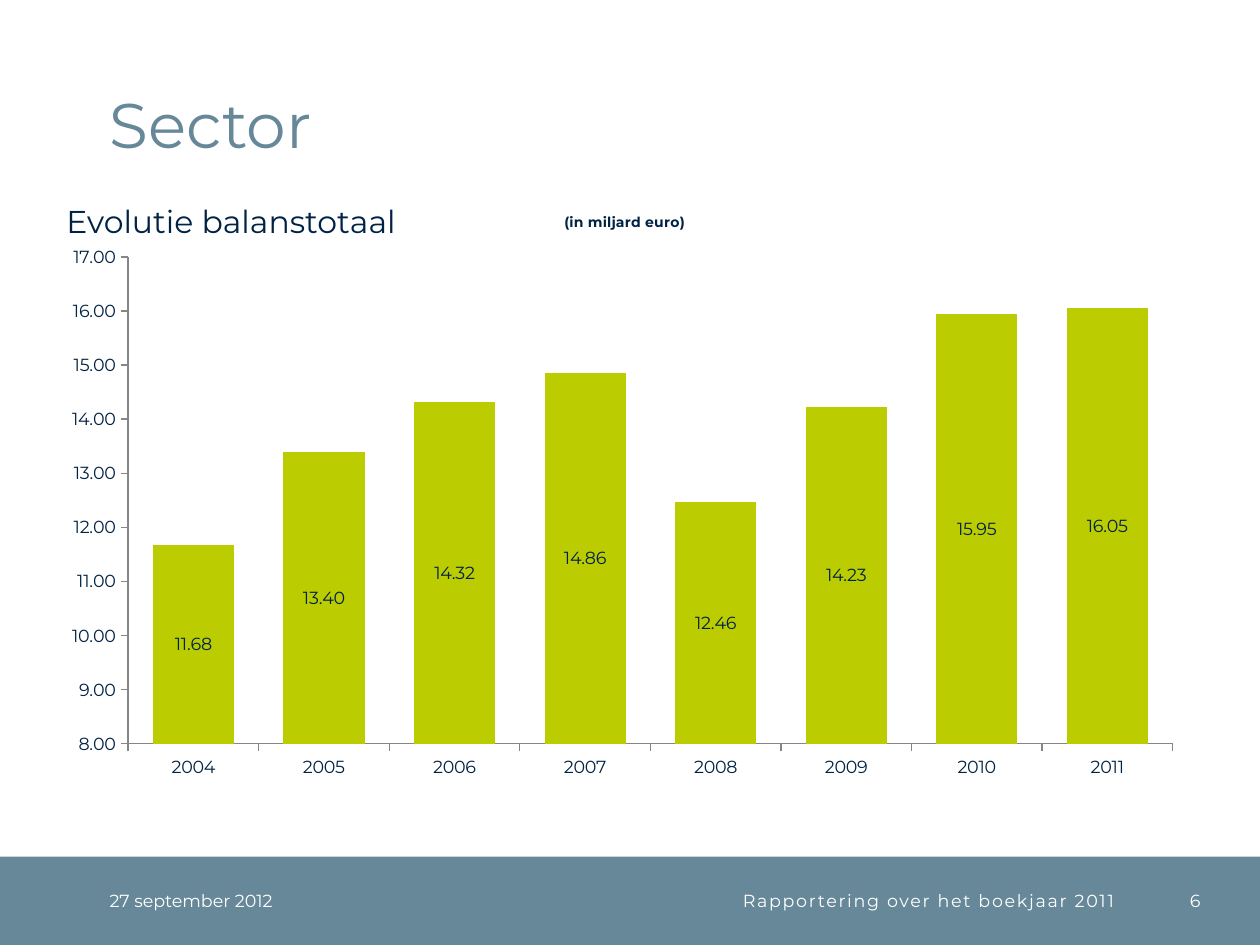
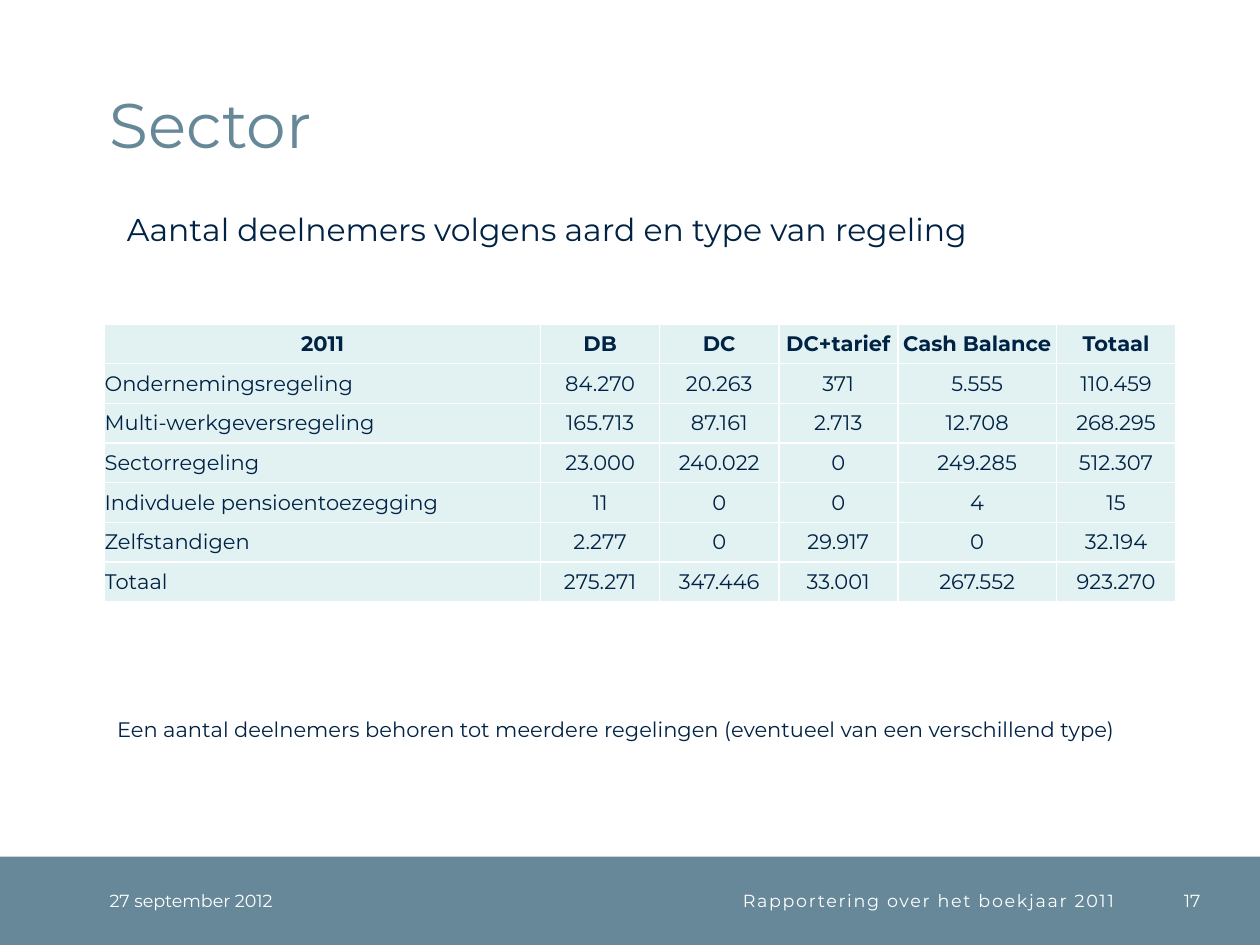
from dataclasses import dataclass

import pptx
import pptx.chart.data
import pptx.dml.color
import pptx.enum.chart
import pptx.enum.shapes
import pptx.enum.text
import pptx.oxml
import pptx.oxml.ns
import pptx.util
from pptx.util import Cm

Align = pptx.enum.text.PP_ALIGN
Anchor = pptx.enum.text.MSO_ANCHOR


def rgb(code: str) -> pptx.dml.color.RGBColor:
    return pptx.dml.color.RGBColor.from_string(code)


@dataclass(frozen=True)
class Theme:
    font: str = "Montserrat"
    slate: str = "668899"
    navy: str = "002244"
    lime: str = "BBCC00"
    mint: str = "E2F2F3"
    axis: str = "868686"
    white: str = "FFFFFF"
    title: int = 36
    heading: int = 18
    body: int = 12
    small: int = 10
    unit: int = 8


THEME = Theme()


@dataclass(frozen=True)
class Box:
    """A rectangle in centimetres."""
    left: float
    top: float
    width: float
    height: float

    def lengths(self) -> tuple:
        return Cm(self.left), Cm(self.top), Cm(self.width), Cm(self.height)


@dataclass(frozen=True)
class Label:
    text: str
    box: Box
    size: int
    color: str = THEME.navy
    align: Align = Align.LEFT
    anchor: Anchor = Anchor.TOP
    inset: bool = True
    tracking: int = 0


BAND = Box(0, 17.27, 25.4, 1.78)
TITLE = Box(2.21, 0.51, 21.92, 2.74)

YEARS = [str(year) for year in range(2004, 2012)]
BALANCE_TOTALS = [11.68, 13.40, 14.32, 14.86, 12.46, 14.23, 15.95, 16.05]

COLUMN_WIDTHS = [8.79, 2.4, 2.4, 2.4, 3.2, 2.4]
ROW_HEIGHT = 0.8
MEMBERS = [
    ["2011", "DB", "DC", "DC+tarief", "Cash Balance", "Totaal"],
    ["Ondernemingsregeling", "84.270", "20.263", "371", "5.555", "110.459"],
    ["Multi-werkgeversregeling", "165.713", "87.161", "2.713", "12.708", "268.295"],
    ["Sectorregeling", "23.000", "240.022", "0", "249.285", "512.307"],
    ["Indivduele pensioentoezegging", "11", "0", "0", "4", "15"],
    ["Zelfstandigen", "2.277", "0", "29.917", "0", "32.194"],
    ["Totaal", "275.271", "347.446", "33.001", "267.552", "923.270"],
]


def style_font(font, size: int, color: str, bold: bool = False) -> None:
    font.name = THEME.font
    font.size = pptx.util.Pt(size)
    font.bold = bold
    font.color.rgb = rgb(color)


def clear_margins(holder) -> None:
    holder.margin_left = holder.margin_right = 0
    holder.margin_top = holder.margin_bottom = 0


def add_label(slide, label: Label) -> None:
    frame = slide.shapes.add_textbox(*label.box.lengths()).text_frame
    frame.word_wrap = True
    frame.vertical_anchor = label.anchor
    if not label.inset:
        clear_margins(frame)
    paragraph = frame.paragraphs[0]
    paragraph.alignment = label.align
    run = paragraph.add_run()
    run.text = label.text
    style_font(paragraph.font, label.size, label.color)
    if label.tracking:
        run.font.size = pptx.util.Pt(label.size)
        run.font.element.set("spc", str(label.tracking * 100)) if hasattr(
            run.font, "element") else run.font._element.set("spc", str(label.tracking * 100))


def footer_label(text: str, left: float, width: float,
                 align: Align = Align.RIGHT, tracking: int = 0) -> Label:
    return Label(text, Box(left, BAND.top, width, BAND.height), THEME.small,
                 THEME.white, align, Anchor.MIDDLE, False, tracking)


def add_sector_slide(deck, number: int):
    """Add a slide with the shared title, band and footer."""
    slide = deck.slides.add_slide(deck.slide_layouts.get_by_name("Title Only"))
    band = slide.shapes.add_shape(
        pptx.enum.shapes.MSO_SHAPE.RECTANGLE, *BAND.lengths())
    band.shadow.inherit = False
    band.fill.solid()
    band.fill.fore_color.rgb = rgb(THEME.slate)
    band.line.fill.background()

    title = slide.shapes.title
    title.left, title.top, title.width, title.height = TITLE.lengths()
    frame = title.text_frame
    frame.text = "Sector"
    frame.auto_size = pptx.enum.text.MSO_AUTO_SIZE.NONE
    frame.vertical_anchor = Anchor.BOTTOM
    clear_margins(frame)
    heading = frame.paragraphs[0]
    heading.alignment = Align.LEFT
    heading.line_spacing = pptx.util.Pt(32)
    style_font(heading.font, THEME.title, THEME.slate)

    add_label(slide, footer_label("27 september 2012", 2.21, 4.5, Align.LEFT))
    add_label(slide, footer_label("Rapportering over het boekjaar 2011",
                                  6.71, 15.75, tracking=1))
    add_label(slide, footer_label(str(number), 22.96, 1.24))
    return slide


def place_chart_part(part, index: int, **fractions: float) -> None:
    """Give a chart part a manual layout in fractions of the chart."""
    for layout in part.findall(pptx.oxml.ns.qn("c:layout")):
        part.remove(layout)
    modes = "".join(f'<c:{axis}Mode val="edge"/>' for axis in "xy")
    values = "".join(f'<c:{key} val="{value}"/>' for key, value in fractions.items())
    target = '<c:layoutTarget val="inner"/>' if "w" in fractions else ""
    part.insert(index, pptx.oxml.parse_xml(
        f'<c:layout {pptx.oxml.ns.nsdecls("c")}><c:manualLayout>'
        f'{target}{modes}{values}</c:manualLayout></c:layout>'))


def add_balance_chart(slide, box: Box) -> None:
    data = pptx.chart.data.CategoryChartData(number_format="#,##0.00")
    data.categories = YEARS
    data.add_series("Balanstotaal", BALANCE_TOTALS)
    chart = slide.shapes.add_chart(
        pptx.enum.chart.XL_CHART_TYPE.COLUMN_STACKED, *box.lengths(), data).chart
    style_font(chart.font, THEME.small, THEME.navy)
    chart.has_legend = False

    chart.has_title = True
    unit = chart.chart_title.text_frame
    unit.text = "(in miljard euro)"
    style_font(unit.paragraphs[0].font, THEME.unit, THEME.navy, bold=True)

    for axis in (chart.category_axis, chart.value_axis):
        axis.has_major_gridlines = False
        axis.major_tick_mark = pptx.enum.chart.XL_TICK_MARK.OUTSIDE
        axis.minor_tick_mark = pptx.enum.chart.XL_TICK_MARK.NONE
        axis.format.line.color.rgb = rgb(THEME.axis)
        axis.format.line.width = pptx.util.Pt(0.75)
    scale = chart.value_axis
    scale.minimum_scale, scale.maximum_scale, scale.major_unit = 8, 17, 1
    scale.tick_labels.number_format = "#,##0.00"
    scale.tick_labels.number_format_is_linked = False

    plot = chart.plots[0]
    plot.gap_width, plot.overlap = 61, 100
    plot.vary_by_categories = False
    bars = plot.series[0]
    bars.format.fill.solid()
    bars.format.fill.fore_color.rgb = rgb(THEME.lime)
    plot.has_data_labels = True
    labels = plot.data_labels
    labels.show_value = True
    labels.number_format = "#,##0.00"
    labels.number_format_is_linked = False
    labels.position = pptx.enum.chart.XL_LABEL_POSITION.CENTER
    style_font(labels.font, THEME.small, THEME.navy)

    place_chart_part(chart.element.xpath("c:chart/c:title")[0], 1, x=0.45, y=0.04)
    place_chart_part(chart.element.xpath("c:chart/c:plotArea")[0], 0,
                     x=0.073, y=0.119, w=0.908, h=0.805)


def add_members_table(slide, left: float, top: float) -> None:
    box = Box(left, top, sum(COLUMN_WIDTHS), ROW_HEIGHT * len(MEMBERS))
    table = slide.shapes.add_table(
        len(MEMBERS), len(COLUMN_WIDTHS), *box.lengths()).table
    table.first_row = table.horz_banding = False
    for column, width in zip(table.columns, COLUMN_WIDTHS):
        column.width = Cm(width)
    for row_index, values in enumerate(MEMBERS):
        table.rows[row_index].height = Cm(ROW_HEIGHT)
        for column_index, value in enumerate(values):
            cell = table.cell(row_index, column_index)
            cell.text = value
            cell.vertical_anchor = Anchor.MIDDLE
            clear_margins(cell)
            cell.fill.solid()
            cell.fill.fore_color.rgb = rgb(THEME.mint)
            is_header = row_index == 0
            paragraph = cell.text_frame.paragraphs[0]
            paragraph.alignment = (
                Align.CENTER if is_header or column_index else Align.LEFT)
            style_font(paragraph.font, THEME.body, THEME.navy, is_header)


def main() -> None:
    deck = pptx.Presentation()
    deck.slide_width, deck.slide_height = Cm(25.4), Cm(19.05)

    balance = add_sector_slide(deck, 6)
    add_label(balance, Label("Evolutie balanstotaal",
                             Box(1.09, 3.94, 8.2, 1.02), THEME.heading))
    add_balance_chart(balance, Box(0.89, 3.73, 23.19, 12.19))

    members = add_sector_slide(deck, 17)
    add_label(members, Label("Aantal deelnemers volgens aard en type van regeling",
                             Box(2.31, 4.11, 21.41, 1.02), THEME.heading))
    add_members_table(members, 2.11, 6.53)
    add_label(members, Label(
        "Een aantal deelnemers behoren tot meerdere regelingen "
        "(eventueel van een verschillend type)",
        Box(2.11, 14.33, 22.2, 0.76), THEME.body))

    deck.save("out.pptx")


if __name__ == "__main__":
    main()
